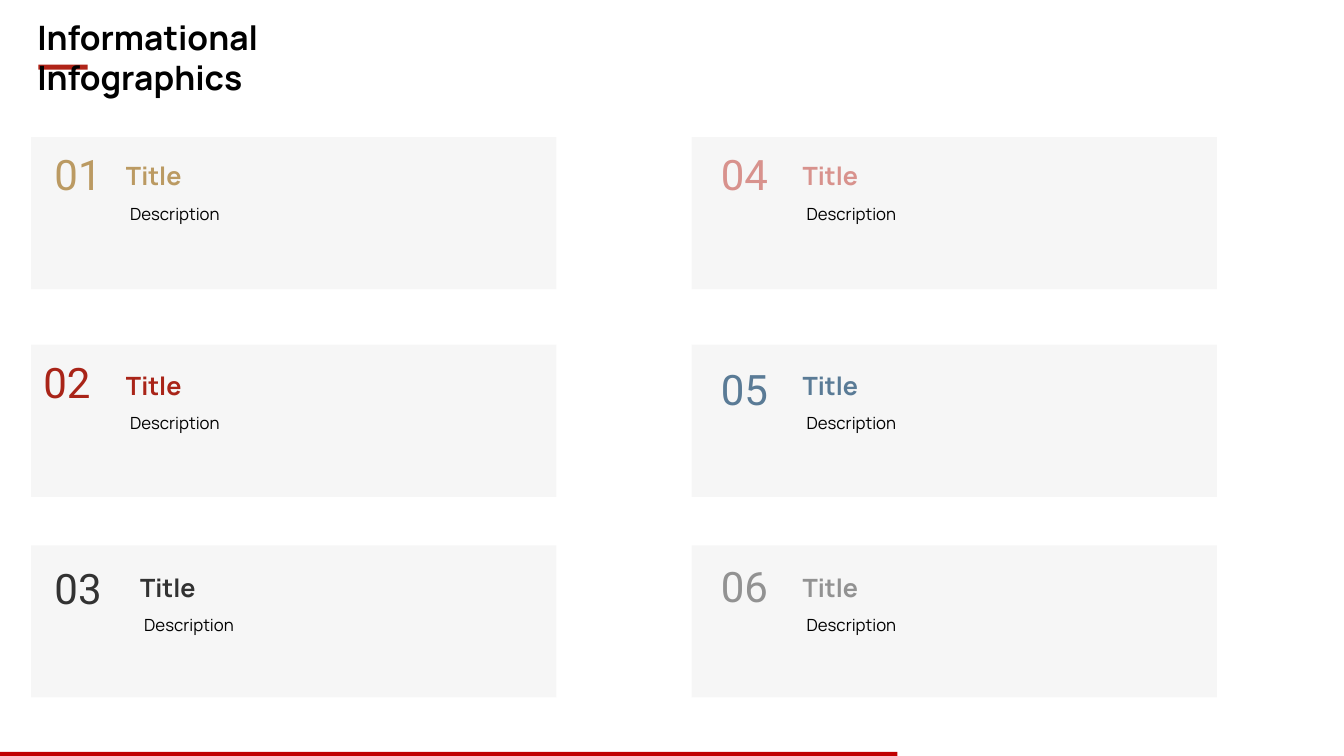
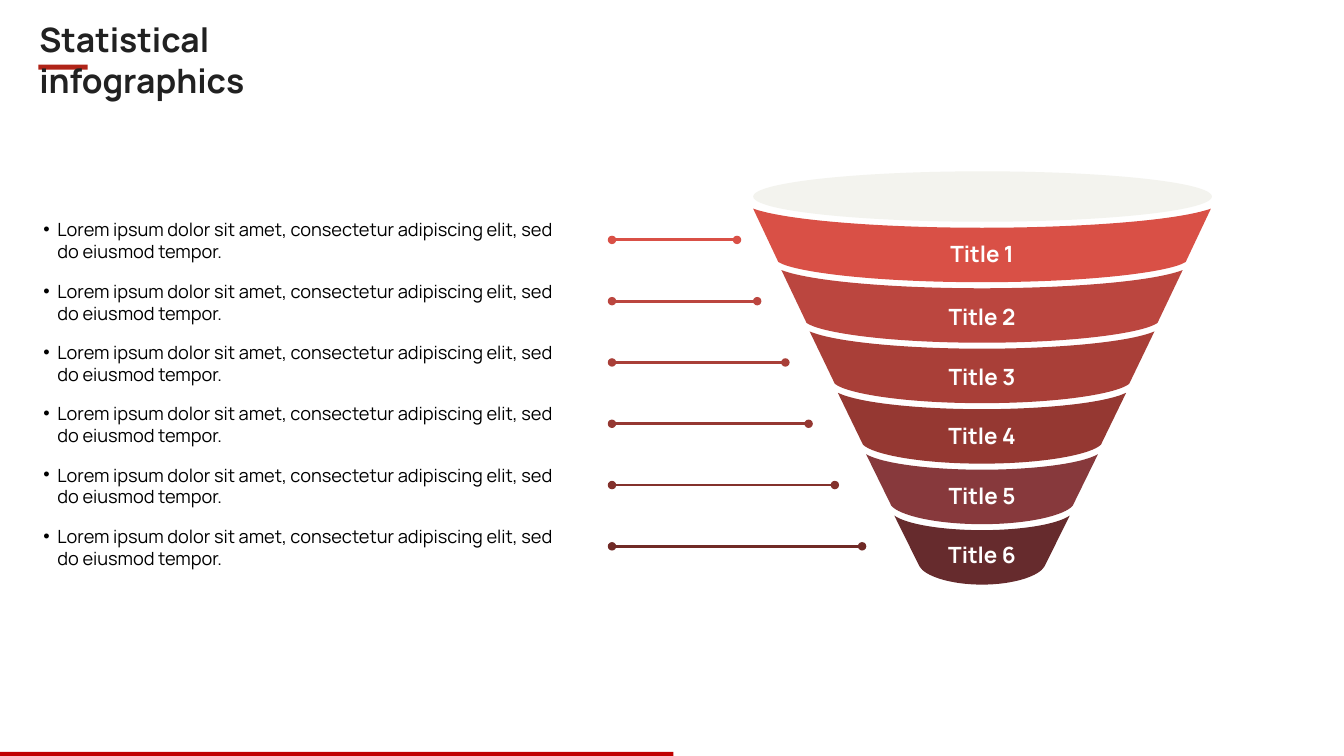
from dataclasses import dataclass

from lxml import etree
from pptx import Presentation
from pptx.dml.color import RGBColor
from pptx.enum.shapes import MSO_CONNECTOR, MSO_SHAPE
from pptx.enum.text import PP_ALIGN
from pptx.oxml.ns import qn
from pptx.util import Pt

PX = 9144
SLIDE_WIDTH, SLIDE_HEIGHT = 1333, 750

RECTANGLE, ELLIPSE = MSO_SHAPE.RECTANGLE, MSO_SHAPE.OVAL
STRAIGHT = MSO_CONNECTOR.STRAIGHT
LEFT, CENTER = PP_ALIGN.LEFT, PP_ALIGN.CENTER

HEADING_FONT, NUMBER_FONT, BULLET_FONT = "Manrope", "Roboto", "Arial"

BLACK = RGBColor(0x00, 0x00, 0x00)
WHITE = RGBColor(0xFF, 0xFF, 0xFF)
CHARCOAL = RGBColor(0x21, 0x21, 0x21)
ACCENT_RED = RGBColor(0xB0, 0x24, 0x18)
FOOTER_RED = RGBColor(0xC0, 0x00, 0x00)
CARD_GREY = RGBColor(0xEF, 0xEF, 0xEF)
FUNNEL_RIM = RGBColor(0xF3, 0xF3, 0xEE)
GOLD = RGBColor(0xBB, 0x9A, 0x62)
RED = RGBColor(0xA9, 0x24, 0x18)
DARK_GREY = RGBColor(0x32, 0x32, 0x32)
PINK = RGBColor(0xD8, 0x92, 0x8D)
BLUE = RGBColor(0x5A, 0x7B, 0x96)
MID_GREY = RGBColor(0x92, 0x92, 0x92)
BAND_1 = RGBColor(0xD9, 0x50, 0x46)
BAND_2 = RGBColor(0xBB, 0x46, 0x3F)
BAND_3 = RGBColor(0xA9, 0x3F, 0x38)
BAND_4 = RGBColor(0x95, 0x38, 0x32)
BAND_5 = RGBColor(0x87, 0x39, 0x3C)
BAND_6 = RGBColor(0x66, 0x2B, 0x2D)
LINE_5 = RGBColor(0x83, 0x31, 0x2C)
LINE_6 = RGBColor(0x70, 0x2A, 0x26)

CARD_COLUMNS = (31, 686)
CARD_ROWS = (136, 342, 541)
CARD_SIZE = (521, 151)
TITLE_TOPS = (154, 362, 563)
DESCRIPTION_TOPS = (193, 400, 601)

LOREM = "Lorem ipsum dolor sit amet, consectetur adipiscing elit, sed do eiusmod tempor."
FUNNEL_CENTER = 974
LEVEL_STEP = 60.8
CURVE_STARTS = (0, 3, 7, 10)


@dataclass
class Card:
    number: str
    color: RGBColor
    column: int
    row: int
    number_left: int
    number_top: int
    title_left: int
    description_width: int


@dataclass
class Level:
    band_color: RGBColor
    line_color: RGBColor
    line_end: int
    label_top: int
    bullet_width: int


CARDS = (
    Card("01", GOLD, 0, 0, 49, 142, 120, 268),
    Card("02", RED, 0, 1, 38, 349, 120, 330),
    Card("03", DARK_GREY, 0, 2, 49, 553, 134, 315),
    Card("04", PINK, 1, 0, 710, 142, 791, 293),
    Card("05", BLUE, 1, 1, 710, 356, 791, 293),
    Card("06", MID_GREY, 1, 2, 710, 551, 791, 268),
)

LEVELS = (
    Level(BAND_1, BAND_1, 731, 233, 538),
    Level(BAND_2, BAND_2, 751, 296, 538),
    Level(BAND_3, BAND_3, 779, 355, 538),
    Level(BAND_4, BAND_4, 802, 414, 523),
    Level(BAND_5, LINE_5, 828, 473, 523),
    Level(BAND_6, LINE_6, 855, 532, 523),
)


def px(*lengths):
    return [round(length * PX) for length in lengths]


def paint(shape, color):
    shape.shadow.inherit = False
    shape.fill.solid()
    shape.fill.fore_color.rgb = color
    shape.line.fill.background()


def add_filled_shape(slide, kind, box, color):
    shape = slide.shapes.add_shape(kind, *px(*box))
    paint(shape, color)
    return shape


def set_opacity(shape, percent):
    color = shape._element.spPr.find(qn("a:solidFill"))[0]
    etree.SubElement(color, qn("a:alpha"), val=str(percent * 1000))


def set_bullet(paragraph, indent):
    properties = paragraph._p.get_or_add_pPr()
    properties.set("marL", str(indent * PX))
    properties.set("indent", str(-indent * PX))
    etree.SubElement(properties, qn("a:buFont"), typeface=BULLET_FONT)
    etree.SubElement(properties, qn("a:buChar"), char="•")


def add_text(slide, box, text, size, color, font=HEADING_FONT, bold=False,
             align=LEFT, inset=5, bullet_indent=0, wrap=True):
    frame = slide.shapes.add_textbox(*px(*box)).text_frame
    frame.word_wrap = wrap
    frame.margin_left = frame.margin_right = inset * PX
    frame.margin_top = frame.margin_bottom = inset * PX
    paragraph = frame.paragraphs[0]
    paragraph.text = text
    paragraph.alignment = align
    if bullet_indent:
        set_bullet(paragraph, bullet_indent)
    paragraph.font.name = font
    paragraph.font.size = Pt(size)
    paragraph.font.bold = bold
    paragraph.font.color.rgb = color


def add_blank_slide(presentation):
    return presentation.slides.add_slide(presentation.slide_layouts[6])


def add_frame(slide, title, title_box, title_color, title_inset, progress):
    add_filled_shape(slide, RECTANGLE, (38, 64, 49, 5), ACCENT_RED)
    add_filled_shape(slide, RECTANGLE, (0, 746, progress, 4), FOOTER_RED)
    add_text(slide, title_box, title, 24, title_color, bold=True, inset=title_inset)


def add_card(slide, card):
    background = add_filled_shape(
        slide, RECTANGLE,
        (CARD_COLUMNS[card.column], CARD_ROWS[card.row], *CARD_SIZE), CARD_GREY)
    set_opacity(background, 50)
    add_text(slide, (card.number_left, card.number_top, 68, 64),
             card.number, 30, card.color, font=NUMBER_FONT)
    add_text(slide, (card.title_left, TITLE_TOPS[card.row], 66, 39),
             "Title", 18, card.color, bold=True, wrap=False)
    add_text(slide, (card.title_left, DESCRIPTION_TOPS[card.row],
                     card.description_width, 38), "Description", 12, BLACK, inset=9)


def add_dotted_line(slide, start, end, color):
    connector = slide.shapes.add_connector(STRAIGHT, *px(*start, *end))
    connector.line.width = Pt(2)
    connector.line.color.rgb = color
    properties = connector._element.spPr
    outline = properties.find(qn("a:ln"))
    for tag in ("a:headEnd", "a:tailEnd"):
        etree.SubElement(outline, qn(tag), type="oval")
    etree.SubElement(properties, qn("a:effectLst"))


def sagging_edge(half_width, corner_y, center_y, corner_pull, center_pull):
    sag = center_y - corner_y
    left_half = [(FUNNEL_CENTER - half_width * across, corner_y + sag * down)
                 for across, down in ((1, 0), corner_pull, center_pull, (0, 1))]
    right_half = [(2 * FUNNEL_CENTER - x, y) for x, y in left_half[-2::-1]]
    return left_half + right_half


def bend_segments(shape):
    segments = list(shape._element.iter(qn("a:lnTo")))
    for start in CURVE_STARTS:
        first, *others = segments[start:start + 3]
        first.tag = qn("a:cubicBezTo")
        for segment in others:
            first.append(segment[0])
            segment.getparent().remove(segment)


def add_funnel_band(slide, index, color):
    top = sagging_edge(227 - 28 * index, 207 + 60.9 * index, 226 + 60 * index,
                       (0.85, 0.64), (0.42, 1))
    bottom = sagging_edge(202 - 28 * index, 260 + 60.4 * index, 280 + 60 * index,
                          (0.92, 0.5), (0.53, 1))
    points = [px(*point) for point in top + bottom[::-1]]
    builder = slide.shapes.build_freeform(*points[0])
    builder.add_line_segments(points[1:], close=True)
    band = builder.convert_to_shape()
    bend_segments(band)
    paint(band, color)


def add_level_text(slide, index, level):
    line_y = 238 + LEVEL_STEP * index
    add_dotted_line(slide, (607, line_y), (level.line_end, line_y), level.line_color)
    add_text(slide, (38, 212 + LEVEL_STEP * index, level.bullet_width, 52),
             LOREM, 13, BLACK, bullet_indent=14)
    add_text(slide, (929, level.label_top, 90, 36), f"Title {index + 1}", 16, WHITE,
             bold=True, align=CENTER)


def add_informational_slide(presentation):
    slide = add_blank_slide(presentation)
    for card in CARDS:
        add_card(slide, card)
    add_frame(slide, "Informational Infographics", (32, 12, 435, 50), BLACK, 5, 890)


def add_statistical_slide(presentation):
    slide = add_blank_slide(presentation)
    for index, level in enumerate(LEVELS):
        add_funnel_band(slide, index, level.band_color)
    add_filled_shape(slide, ELLIPSE, (747, 170, 455, 50), FUNNEL_RIM)
    for index, level in enumerate(LEVELS):
        add_level_text(slide, index, level)
    add_frame(slide, "Statistical infographics", (39, 19, 367, 40), CHARCOAL, 0, 668)


def main():
    presentation = Presentation()
    presentation.slide_width, presentation.slide_height = px(SLIDE_WIDTH, SLIDE_HEIGHT)
    add_informational_slide(presentation)
    add_statistical_slide(presentation)
    presentation.save("out.pptx")


if __name__ == "__main__":
    main()
